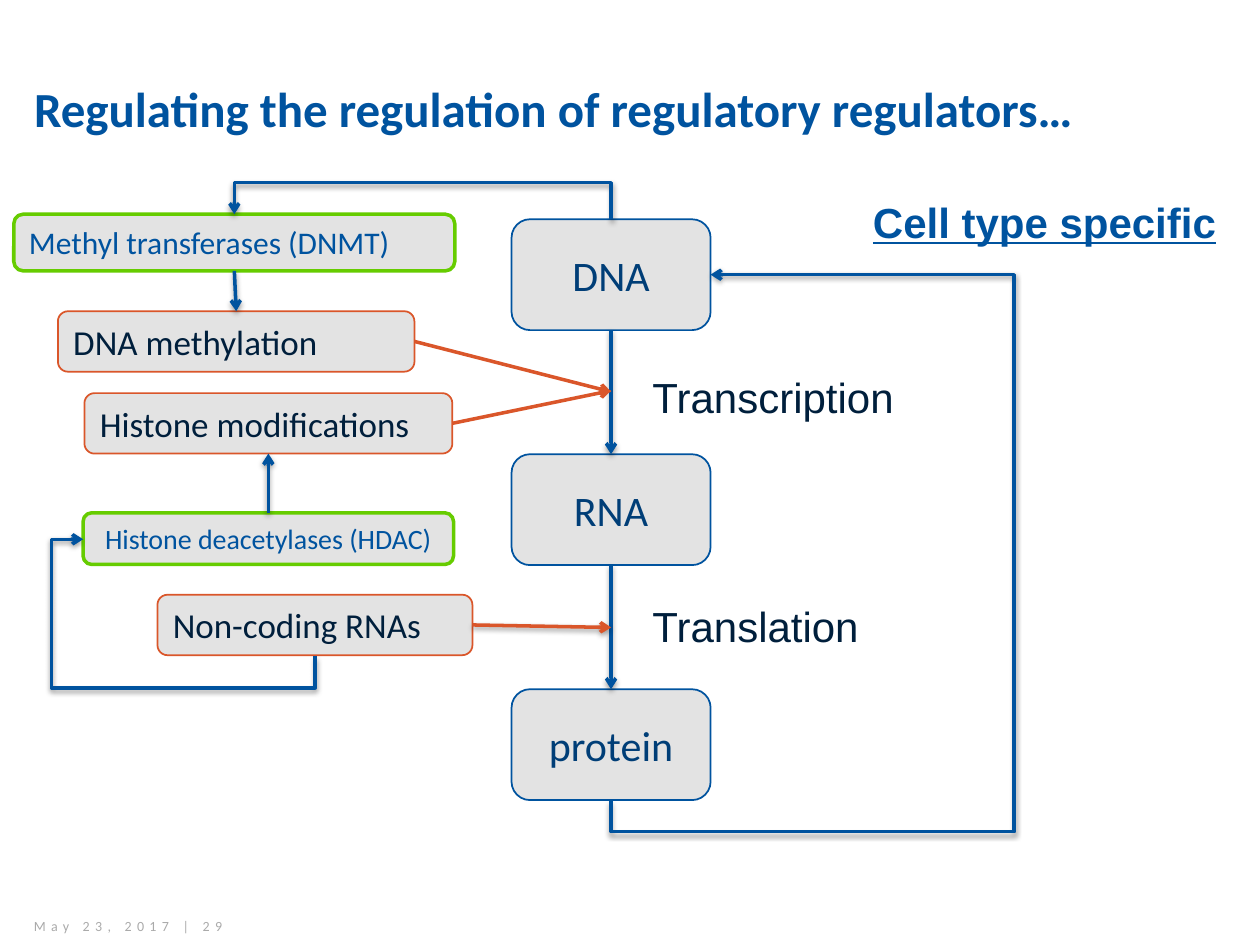
import pptx
import pptx.dml.color
import pptx.enum.shapes
import pptx.enum.text
import pptx.oxml
import pptx.oxml.ns
import pptx.util
from pptx.util import Inches

BLUE, NAVY, INK = "00539F", "003E77", "001F3C"
ORANGE, GREEN, GREY, PALE = "DA562A", "66CC00", "AAAAAA", "E3E3E3"
TOP, LEFT, BOTTOM, RIGHT = range(4)  # connection sites of a rounded rectangle

TITLE = "Regulating the regulation of regulatory regulators…"
FOOTER = "May 23, 2017 | 29"

STAGES = ["DNA", "RNA", "protein"]
STAGE_LEFT, STAGE_TOP, STAGE_WIDTH, STAGE_HEIGHT = 4.06, 1.74, 1.58, 0.88
STAGE_STEP = 1.865
AXIS = STAGE_LEFT + STAGE_WIDTH / 2

# text, (left, top, width, height), outline, line width, size, colour, centred
REGULATORS = [
    ("DNA methylation", (0.46, 2.47, 2.83, 0.48), ORANGE, 1, 20, INK, False),
    ("Histone modifications", (0.67, 3.12, 2.92, 0.48), ORANGE, 1, 20, INK, False),
    ("Non-coding RNAs", (1.25, 4.72, 2.5, 0.48), ORANGE, 1, 20, INK, False),
    ("Histone deacetylases (HDAC)", (0.66, 4.07, 2.94, 0.41), GREEN, 2, 16, BLUE, True),
    ("Methyl transferases (DNMT)", (0.11, 1.7, 3.5, 0.45), GREEN, 2, 18, BLUE, False),
]

# text, (left, top, width, height), colour, emphasised
LABELS = [
    ("Transcription", (5.08, 2.9, 2.39, 0.5), INK, False),
    ("Translation", (5.08, 4.72, 2.39, 0.5), INK, False),
    ("Cell type specific", (6.83, 1.51, 3.03, 0.5), BLUE, True),
]

# from box, site, to box, site
LINKS = [
    ("DNA", BOTTOM, "RNA", TOP),
    ("RNA", BOTTOM, "protein", TOP),
    ("Histone deacetylases (HDAC)", TOP, "Histone modifications", BOTTOM),
    ("Methyl transferases (DNMT)", BOTTOM, "DNA methylation", TOP),
]

# from box, height at which the arrow meets the central axis, shadow
INFLUENCES = [
    ("DNA methylation", 3.11, False),
    ("Histone modifications", 3.1, False),
    ("Non-coding RNAs", 4.98, True),
]

FEEDBACK = [
    [(AXIS, 1.74), (AXIS, 1.45), (1.86, 1.45), (1.86, 1.7)],
    [(AXIS, 6.35), (AXIS, 6.6), (8.05, 6.6), (8.05, 2.18), (5.64, 2.18)],
    [(2.5, 5.21), (2.5, 5.46), (0.41, 5.46), (0.41, 4.28), (0.66, 4.28)],
]

SHADOW = (
    '<a:outerShdw blurRad="39370" dist="20320" dir="5400000" rotWithShape="0">'
    '<a:srgbClr val="000000"><a:alpha val="38000"/></a:srgbClr></a:outerShdw>'
)


def rgb(colour):
    return pptx.dml.color.RGBColor.from_string(colour)


def write(shape, text, font, size, colour, centred=False, middle=False):
    frame = shape.text_frame
    frame.word_wrap = True
    anchor = pptx.enum.text.MSO_ANCHOR
    frame.vertical_anchor = anchor.MIDDLE if middle else anchor.TOP
    paragraph = frame.paragraphs[0]
    paragraph.text = text
    align = pptx.enum.text.PP_ALIGN
    paragraph.alignment = align.CENTER if centred else align.LEFT
    paragraph.font.name = font
    paragraph.font.size = pptx.util.Pt(size)
    paragraph.font.color.rgb = rgb(colour)
    return paragraph


def outline(shape, colour, width):
    shape.line.color.rgb = rgb(colour)
    shape.line.width = pptx.util.Pt(width)


def add_box(slide, place, colour, width):
    box = slide.shapes.add_shape(
        pptx.enum.shapes.MSO_SHAPE.ROUNDED_RECTANGLE, *map(Inches, place))
    box.shadow.inherit = False
    box.fill.solid()
    box.fill.fore_color.rgb = rgb(PALE)
    outline(box, colour, width)
    return box


def make_arrow(shape, colour, shadow=True):
    """Give a line its colour, its arrowhead and, if wanted, a soft shadow."""
    outline(shape, colour, 2)
    namespace = pptx.oxml.ns.nsdecls("a")
    shape.line._get_or_add_ln().append(
        pptx.oxml.parse_xml(f'<a:tailEnd {namespace} type="arrow"/>'))
    effects = f"<a:effectLst {namespace}>{SHADOW if shadow else ''}</a:effectLst>"
    shape._element.spPr.append(pptx.oxml.parse_xml(effects))


def add_straight(slide):
    return slide.shapes.add_connector(
        pptx.enum.shapes.MSO_CONNECTOR.STRAIGHT, 0, 0, 0, 0)


def add_feedback(slide, points):
    start, *rest = [(Inches(x), Inches(y)) for x, y in points]
    builder = slide.shapes.build_freeform(*start)
    builder.add_line_segments(rest, close=False)
    route = builder.convert_to_shape()
    route.fill.background()
    make_arrow(route, BLUE)


def main():
    deck = pptx.Presentation()
    deck.slide_width, deck.slide_height = Inches(10), Inches(7.5)
    slide = deck.slides.add_slide(deck.slide_layouts[5])

    title = slide.shapes.title
    title.left, title.top, title.width, title.height = map(
        Inches, (0.17, 0.38, 8.83, 0.95))
    write(title, TITLE, "Calibri", 28, BLUE, middle=True).font.bold = True

    footer = slide.shapes.add_textbox(*map(Inches, (0.17, 7.25, 2.56, 0.2)))
    paragraph = write(footer, FOOTER, "Calibri", 8, GREY, middle=True)
    paragraph.runs[0].font._element.set("spc", "300")

    boxes = {}
    for index, text in enumerate(STAGES):
        top = STAGE_TOP + index * STAGE_STEP
        place = (STAGE_LEFT, top, STAGE_WIDTH, STAGE_HEIGHT)
        boxes[text] = add_box(slide, place, BLUE, 1)
        write(boxes[text], text, "Calibri", 24, NAVY, centred=True, middle=True)
    for text, place, border, width, size, colour, centred in REGULATORS:
        boxes[text] = add_box(slide, place, border, width)
        write(boxes[text], text, "Calibri", size, colour, centred)

    for text, place, colour, emphasised in LABELS:
        label = slide.shapes.add_textbox(*map(Inches, place))
        paragraph = write(label, text, "Arial", 24, colour)
        if emphasised:
            paragraph.font.bold = paragraph.font.underline = True

    for source, source_site, target, target_site in LINKS:
        link = add_straight(slide)
        link.begin_connect(boxes[source], source_site)
        link.end_connect(boxes[target], target_site)
        make_arrow(link, BLUE)
    for source, height, shadow in INFLUENCES:
        influence = add_straight(slide)
        influence.end_x, influence.end_y = Inches(AXIS), Inches(height)
        influence.begin_connect(boxes[source], RIGHT)
        make_arrow(influence, ORANGE, shadow)
    for points in FEEDBACK:
        add_feedback(slide, points)

    deck.save("out.pptx")


if __name__ == "__main__":
    main()
